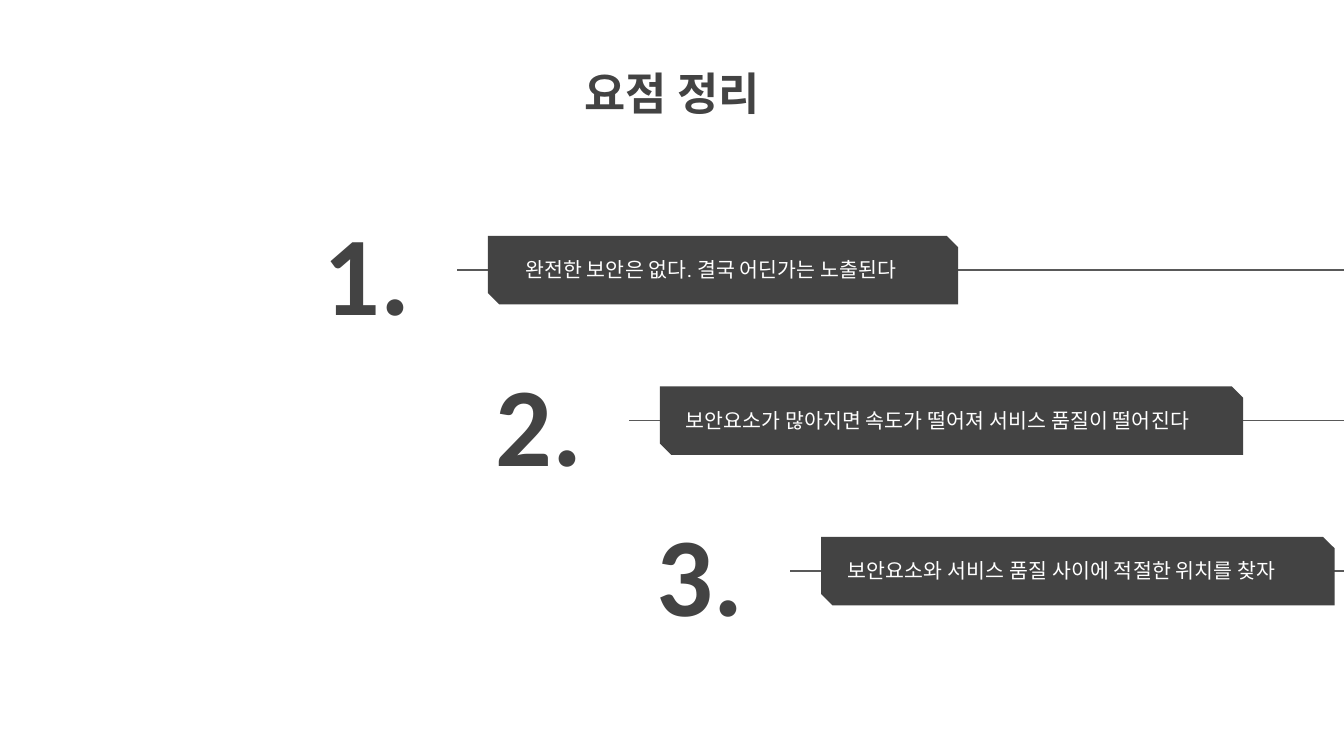
from lxml import etree
from pptx import Presentation
from pptx.dml.color import RGBColor
from pptx.enum.lang import MSO_LANGUAGE_ID as Language
from pptx.enum.shapes import MSO_CONNECTOR as Connector, MSO_SHAPE as Shape
from pptx.enum.text import MSO_ANCHOR as Anchor, PP_ALIGN as Align
from pptx.oxml.ns import qn
from pptx.util import Inches, Pt

DARK = RGBColor(0x43, 0x43, 0x43)
LINE_GRAY = RGBColor(0x59, 0x59, 0x59)
WHITE = RGBColor(0xFF, 0xFF, 0xFF)

SLIDE_WIDTH = 10
SLIDE_HEIGHT = SLIDE_WIDTH * 9 / 16
FIRST_LINE_Y, ROW_STEP = 2.01, 1.12
BANNER_HEIGHT = 0.51

# Line start, banner width, text inset, text width, wording
POINTS = [
    (3.4, 3.5, 0.18, 3.57, "완전한 보안은 없다. 결국 어딘가는 노출된다"),
    (4.68, 4.34, 0.09, 4.69, "보안요소가 많아지면 속도가 떨어져 서비스 품질이 떨어진다"),
    (5.88, 3.82, 0.1, 3.62, "보안요소와 서비스 품질 사이에 적절한 위치를 찾자"),
]


def add_text(slide, box, text, size, font_name, color,
             bold=False, align=Align.LEFT, anchor=Anchor.MIDDLE):
    frame = slide.shapes.add_textbox(*map(Inches, box)).text_frame
    frame.word_wrap = True
    frame.vertical_anchor = anchor
    frame.margin_left = frame.margin_right = Inches(0.1)
    frame.margin_top = frame.margin_bottom = Inches(0.1)
    paragraph = frame.paragraphs[0]
    paragraph.alignment = align
    run = paragraph.add_run()
    run.text = text
    font = run.font
    font.size, font.bold, font.name = Pt(size), bold, font_name
    font.color.rgb = color
    font.language_id = Language.KOREAN
    # Korean letters take the East Asian typeface
    east_asian = etree.SubElement(run._r.get_or_add_rPr(), qn("a:ea"))
    east_asian.set("typeface", font_name)


def add_rule(slide, left, y):
    rule = slide.shapes.add_connector(
        Connector.STRAIGHT, Inches(SLIDE_WIDTH), Inches(y), Inches(left), Inches(y))
    rule.line.color.rgb = LINE_GRAY
    rule.line.width = Pt(0.75)
    etree.SubElement(rule._element.spPr, qn("a:effectLst"))


def add_banner(slide, left, top, width):
    banner = slide.shapes.add_shape(
        Shape.SNIP_2_DIAG_RECTANGLE,
        *map(Inches, (left, top, width, BANNER_HEIGHT)))
    banner.adjustments[0] = 0
    banner.adjustments[1] = 0.167
    banner.shadow.inherit = False
    banner.fill.solid()
    banner.fill.fore_color.rgb = DARK
    banner.line.fill.background()


def add_point(slide, number, left, y, banner_width, inset, text_width, text):
    """One numbered row, centred on y, whose line starts at left."""
    add_rule(slide, left, y)
    add_text(slide, (left - 2.21, y - 0.41, 1.96, 0.83), f"{number}.", 60,
             "Calibri", DARK, bold=True, align=Align.RIGHT)
    banner_left = left + 0.23
    add_banner(slide, banner_left, y - BANNER_HEIGHT / 2, banner_width)
    add_text(slide, (banner_left + inset, y - 0.19, text_width, 0.37), text, 11,
             "Roboto Condensed", WHITE)


def main():
    presentation = Presentation()
    presentation.slide_width = Inches(SLIDE_WIDTH)
    presentation.slide_height = Inches(SLIDE_HEIGHT)
    slide = presentation.slides.add_slide(presentation.slide_layouts[6])

    # Heading
    add_text(slide, (2.15, 0.39, 5.7, 1.03), "요점 정리", 24, "Calibri", DARK,
             bold=True, align=Align.CENTER, anchor=Anchor.TOP)

    # Numbered points
    for index, (left, banner_width, inset, text_width, text) in enumerate(POINTS):
        add_point(slide, index + 1, left, FIRST_LINE_Y + index * ROW_STEP,
                  banner_width, inset, text_width, text)

    presentation.save("out.pptx")


if __name__ == "__main__":
    main()
